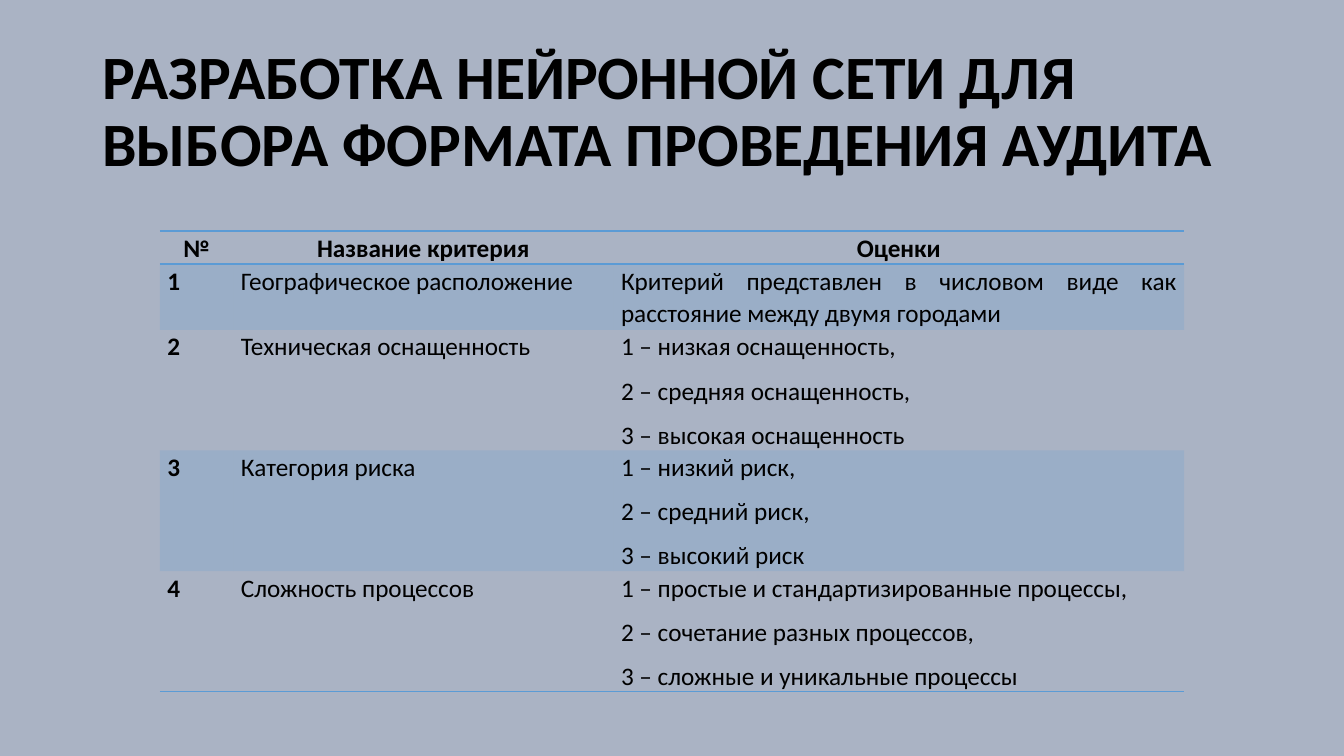
from lxml.etree import SubElement
from pptx import Presentation
from pptx.dml.color import RGBColor
from pptx.enum.text import MSO_ANCHOR, PP_ALIGN
from pptx.oxml import parse_xml
from pptx.oxml.ns import nsdecls, qn
from pptx.util import Cm, Pt

BLACK, BLUE, BACK = "000000", "5B9BD5", "AAB3C4"
PLAIN = "{2D5ABB26-0587-4C30-8999-92F81FD0307C}"
TITLE = "РАЗРАБОТКА НЕЙРОННОЙ СЕТИ ДЛЯ ВЫБОРА ФОРМАТА ПРОВЕДЕНИЯ АУДИТА"
WIDTHS = [1.85, 9.58, 14.38]
HEIGHTS = [0.83, 1.66, 3.04, 3.04, 3.04]
ROWS = [
    ["№", "Название критерия", "Оценки"],
    ["1", "Географическое расположение",
     "Критерий представлен в числовом виде как расстояние между двумя городами"],
    ["2", "Техническая оснащенность",
     "1 – низкая оснащенность,\n2 – средняя оснащенность,\n3 – высокая оснащенность"],
    ["3", "Категория риска",
     "1 – низкий риск,\n2 – средний риск,\n3 – высокий риск"],
    ["4", "Сложность процессов",
     "1 – простые и стандартизированные процессы,\n2 – сочетание разных процессов,\n"
     "3 – сложные и уникальные процессы"],
]


def paint(target, code):
    """Give a fill or a font a solid colour."""
    if hasattr(target, "solid"):
        target.solid()
        target.fore_color.rgb = RGBColor.from_string(code)
    else:
        target.color.rgb = RGBColor.from_string(code)


def style(para, size, bold, align, space):
    """Set the font, alignment and line spacing of a paragraph."""
    font = para.font
    font.name, font.size, font.bold = "Calibri", Pt(size), bold
    paint(font, BLACK)
    para.alignment, para.line_spacing = align, space


def add_title(slide):
    """Add the slide title."""
    box = slide.shapes.add_textbox(Cm(2.33), Cm(1.01), Cm(29.21), Cm(3.68))
    frame = box.text_frame
    frame.word_wrap = True
    frame.vertical_anchor = MSO_ANCHOR.MIDDLE
    frame.text = TITLE
    style(frame.paragraphs[0], 44, True, PP_ALIGN.LEFT, 0.9)


def tint(cell):
    """Fill a cell with see-through blue."""
    paint(cell.fill, BLUE)
    color = cell._tc.tcPr.find(qn("a:solidFill"))[0]
    SubElement(color, qn("a:alpha")).set("val", "20000")


def rule(cell, sides):
    """Draw thin blue borders on the named sides of a cell."""
    props = cell._tc.get_or_add_tcPr()
    for spot, side in enumerate(sides):
        props.insert(spot, parse_xml(
            f'<a:ln{side} {nsdecls("a")} w="12700"><a:solidFill>'
            f'<a:srgbClr val="{BLUE}"/></a:solidFill></a:ln{side}>'))


def fill_cell(cell, text, head, bold):
    """Write a cell and set its margins and paragraphs."""
    cell.margin_left = cell.margin_right = Cm(0.19)
    cell.margin_top = cell.margin_bottom = 0
    cell.text = text
    align = PP_ALIGN.CENTER if head else PP_ALIGN.JUSTIFY
    for para in cell.text_frame.paragraphs:
        style(para, 18, bold, align, 1.07)
        para.space_after = Pt(8)


def add_grid(slide):
    """Add the table of criteria."""
    frame = slide.shapes.add_table(
        len(ROWS), len(WIDTHS), Cm(4.03), Cm(5.82), Cm(sum(WIDTHS)), Cm(sum(HEIGHTS)))
    table = frame.table
    table._tbl.tblPr.find(qn("a:tableStyleId")).text = PLAIN
    for col, width in zip(table.columns, WIDTHS):
        col.width = Cm(width)
    for row, height in zip(table.rows, HEIGHTS):
        row.height = Cm(height)
    last = len(ROWS) - 1
    for r, texts in enumerate(ROWS):
        for c, text in enumerate(texts):
            cell = table.cell(r, c)
            fill_cell(cell, text, r == 0, r == 0 or c == 0)
            if r % 2:
                tint(cell)
            else:
                cell.fill.background()
            rule(cell, {0: "TB", last: "B"}.get(r, ""))


def main():
    """Build and save the slide."""
    deck = Presentation()
    deck.slide_width, deck.slide_height = Cm(33.87), Cm(19.05)
    slide = deck.slides.add_slide(deck.slide_layouts[6])
    paint(slide.background.fill, BACK)
    add_title(slide)
    add_grid(slide)
    deck.save("out.pptx")


if __name__ == "__main__":
    main()
